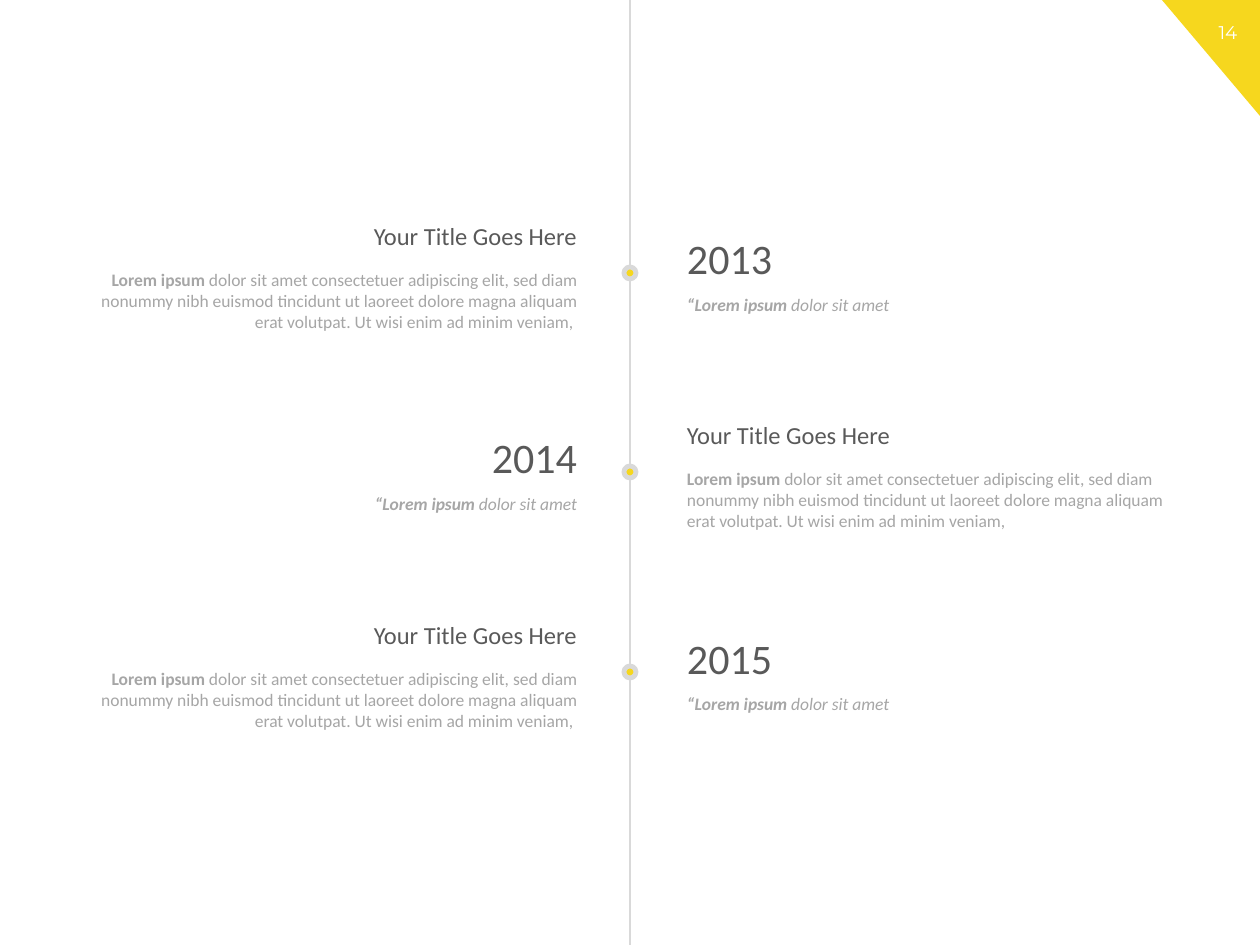
from lxml import etree
from pptx import Presentation
from pptx.dml.color import RGBColor
from pptx.enum.shapes import MSO_CONNECTOR, MSO_SHAPE
from pptx.enum.text import MSO_AUTO_SIZE, PP_ALIGN
from pptx.oxml.ns import qn
from pptx.util import Inches, Pt

STRAIGHT = MSO_CONNECTOR.STRAIGHT
OVAL = MSO_SHAPE.OVAL
RIGHT_TRIANGLE = MSO_SHAPE.RIGHT_TRIANGLE
FIT_SHAPE = MSO_AUTO_SIZE.SHAPE_TO_FIT_TEXT
LEFT, CENTER, RIGHT = PP_ALIGN.LEFT, PP_ALIGN.CENTER, PP_ALIGN.RIGHT

WIDTH, HEIGHT = 1260, 945
SCALE = Inches(10) / WIDTH
YELLOW, SILVER, GRAY, DARK, WHITE = "F6D71E", "D9D9D9", "A6A6A6", "595959", "FFFFFF"

AXIS = WIDTH // 2
LEFT_EDGE, RIGHT_EDGE = 586, 678
FIRST_ROW, TWO_ROWS = 273, 399
DOT = 12

YEARS = ("2013", "2014", "2015")
HEADING = "Your Title Goes Here"
LEAD = "Lorem ipsum "
BODY = (
    "dolor sit amet consectetuer adipiscing elit, sed diam nonummy nibh euismod "
    "tincidunt ut laoreet dolore magna aliquam erat volutpat. "
    "Ut wisi enim ad minim veniam,"
)
TAGLINE = "dolor sit amet"


def px(length):
    return round(length * SCALE)


def color(value):
    return RGBColor.from_string(value)


class TimelineSlide:
    """Draws timeline elements on one slide in a shared style."""

    def __init__(self, slide, font="Calibri", insets=(9, 5)):
        self.shapes = slide.shapes
        self.font = font
        self.insets = insets

    def shape(self, kind, left, top, width, height, fill, outline=None):
        shape = self.shapes.add_shape(kind, px(left), px(top), px(width), px(height))
        shape.shadow.inherit = False
        shape.fill.solid()
        shape.fill.fore_color.rgb = color(fill)
        if outline:
            shape.line.color.rgb = color(outline)
            shape.line.width = Pt(2.75)
        else:
            shape.line.fill.background()
        return shape

    def line(self, x1, y1, x2, y2, stroke):
        line = self.shapes.add_connector(STRAIGHT, px(x1), px(y1), px(x2), px(y2))
        line.line.color.rgb = color(stroke)
        line.line.width = Pt(1)
        etree.SubElement(line._element.spPr, qn("a:effectLst"))

    def text(self, left, top, width, height, words, size, fill,
             lead="", align=LEFT, italic=False, font=None, insets=None):
        frame = self.shapes.add_textbox(px(left), px(top), px(width), px(height)).text_frame
        frame.word_wrap = True
        frame.auto_size = FIT_SHAPE
        side, end = insets or self.insets
        frame.margin_left = frame.margin_right = px(side)
        frame.margin_top = frame.margin_bottom = px(end)
        paragraph = frame.paragraphs[0]
        paragraph.alignment = align
        paragraph.font.name = font or self.font
        paragraph.font.size = Pt(size)
        paragraph.font.color.rgb = color(fill)
        paragraph.font.italic = italic
        if lead:
            lead_run = paragraph.add_run()
            lead_run.text = lead
            lead_run.font.bold = True
        paragraph.add_run().text = words

    def side_text(self, on_left, top, width, height, words, size, fill, **style):
        left = LEFT_EDGE - width if on_left else RIGHT_EDGE
        align = RIGHT if on_left else LEFT
        self.text(left, top, width, height, words, size, fill, align=align, **style)

    def milestone(self, middle, year, story_on_left):
        self.shape(OVAL, AXIS - DOT // 2, middle - DOT // 2, DOT, DOT, YELLOW, SILVER)
        story = BODY + " " if story_on_left else BODY
        self.side_text(story_on_left, middle - 9, 507, 73, story, 10, GRAY, lead=LEAD)
        self.side_text(story_on_left, middle - 57, 398, 39, HEADING, 14, DARK)
        self.side_text(not story_on_left, middle - 45, 155, 60, year, 24, DARK)
        self.side_text(not story_on_left, middle + 16, 311, 30, TAGLINE, 10, GRAY,
                       lead="“" + LEAD, italic=True)


def main():
    deck = Presentation()
    deck.slide_width, deck.slide_height = px(WIDTH), px(HEIGHT)
    timeline = TimelineSlide(deck.slides.add_slide(deck.slide_layouts[6]))

    corner = timeline.shape(RIGHT_TRIANGLE, 1162, 0, 98, 116, YELLOW)
    corner.rotation = 180
    timeline.text(1196, 15, 64, 35, "14", 10.5, WHITE,
                  align=CENTER, font="Montserrat", insets=(13, 6))

    timeline.line(AXIS, 0, AXIS, HEIGHT, SILVER)
    for row, year in enumerate(YEARS):
        timeline.milestone(FIRST_ROW + row * TWO_ROWS // 2, year, row % 2 == 0)

    deck.save("out.pptx")


if __name__ == "__main__":
    main()
